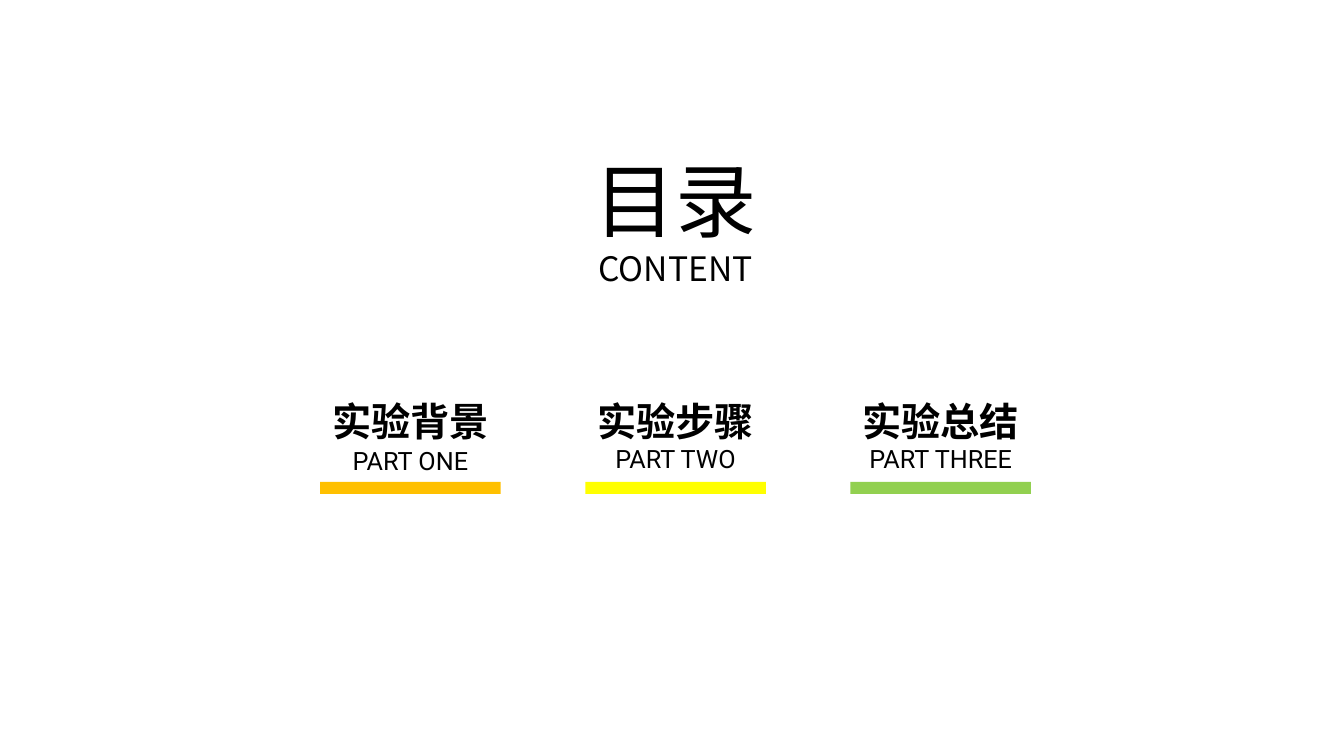
"""Build the contents slide: a heading above three underlined parts."""
import pptx
import pptx.dml.color
import pptx.enum.shapes
import pptx.enum.text
import pptx.util
from lxml import etree
from pptx.oxml.ns import qn

WIDTH, HEIGHT = 13.33, 7.5
CJK, LATIN = "Noto Sans CJK SC", "Roboto"
INK = "000000"
HEADING = [("目录", 58), ("CONTENT", 24)]
PARTS = [
    ("实验背景", "PART ONE", "FFC000", 4.28),
    ("实验步骤", "PART TWO", "FFFF00", 4.26),
    ("实验总结", "PART THREE", "92D050", 4.26),
]
FIRST_CENTER, PITCH = 4.07, 2.63
TITLE_TOP, TITLE_WIDTH, TITLE_HEIGHT = 3.75, 1.92, 0.71
LABEL_WIDTH, LABEL_HEIGHT = 1.9, 0.49
BAR_TOP, BAR_WIDTH, BAR_HEIGHT = 4.78, 1.79, 0.12


def color(value):
    """Turn a hex string into a colour."""
    return pptx.dml.color.RGBColor.from_string(value)


def centered(center, top, width, height):
    """Give left, top, width and height around a vertical axis."""
    return [pptx.util.Inches(n) for n in (center - width / 2, top, width, height)]


def add_text(shapes, box, lines, latin, bold=False, spacing=None, wrap=True):
    """Add centred lines, each a pair of wording and size."""
    frame = shapes.add_textbox(*box).text_frame
    frame.word_wrap = wrap
    frame.auto_size = pptx.enum.text.MSO_AUTO_SIZE.SHAPE_TO_FIT_TEXT
    frame.text = "\n".join(wording for wording, _ in lines)
    for paragraph, (_, size) in zip(frame.paragraphs, lines):
        paragraph.alignment = pptx.enum.text.PP_ALIGN.CENTER
        paragraph.line_spacing = spacing
        font = paragraph.font
        font.size, font.bold, font.name = pptx.util.Pt(size), bold, latin
        font.color.rgb = color(INK)
        defaults = paragraph._p.pPr.find(qn("a:defRPr"))
        etree.SubElement(defaults, qn("a:ea"), typeface=CJK)


def add_part(slide, center, title, label, accent, label_top):
    """Add one part: label, title and coloured bar in a group."""
    shapes = slide.shapes.add_group_shape().shapes
    add_text(shapes, centered(center, label_top, LABEL_WIDTH, LABEL_HEIGHT),
             [(label, 18)], LATIN, spacing=1.3)
    add_text(shapes, centered(center, TITLE_TOP, TITLE_WIDTH, TITLE_HEIGHT),
             [(title, 28)], LATIN, bold=True, spacing=1.3)
    bar = shapes.add_shape(pptx.enum.shapes.MSO_SHAPE.RECTANGLE,
                           *centered(center, BAR_TOP, BAR_WIDTH, BAR_HEIGHT))
    bar.shadow.inherit = False
    bar.fill.solid()
    bar.fill.fore_color.rgb = color(accent)
    bar.line.fill.background()


def main():
    """Build and save the slide."""
    deck = pptx.Presentation()
    deck.slide_width = pptx.util.Inches(WIDTH)
    deck.slide_height = pptx.util.Inches(HEIGHT)
    slide = deck.slides.add_slide(deck.slide_layouts[6])
    add_text(slide.shapes, centered(FIRST_CENTER + PITCH, 1.44, 1.82, 1.48),
             HEADING, CJK, wrap=False)
    for column, part in enumerate(PARTS):
        add_part(slide, FIRST_CENTER + column * PITCH, *part)
    deck.save("out.pptx")


if __name__ == "__main__":
    main()
